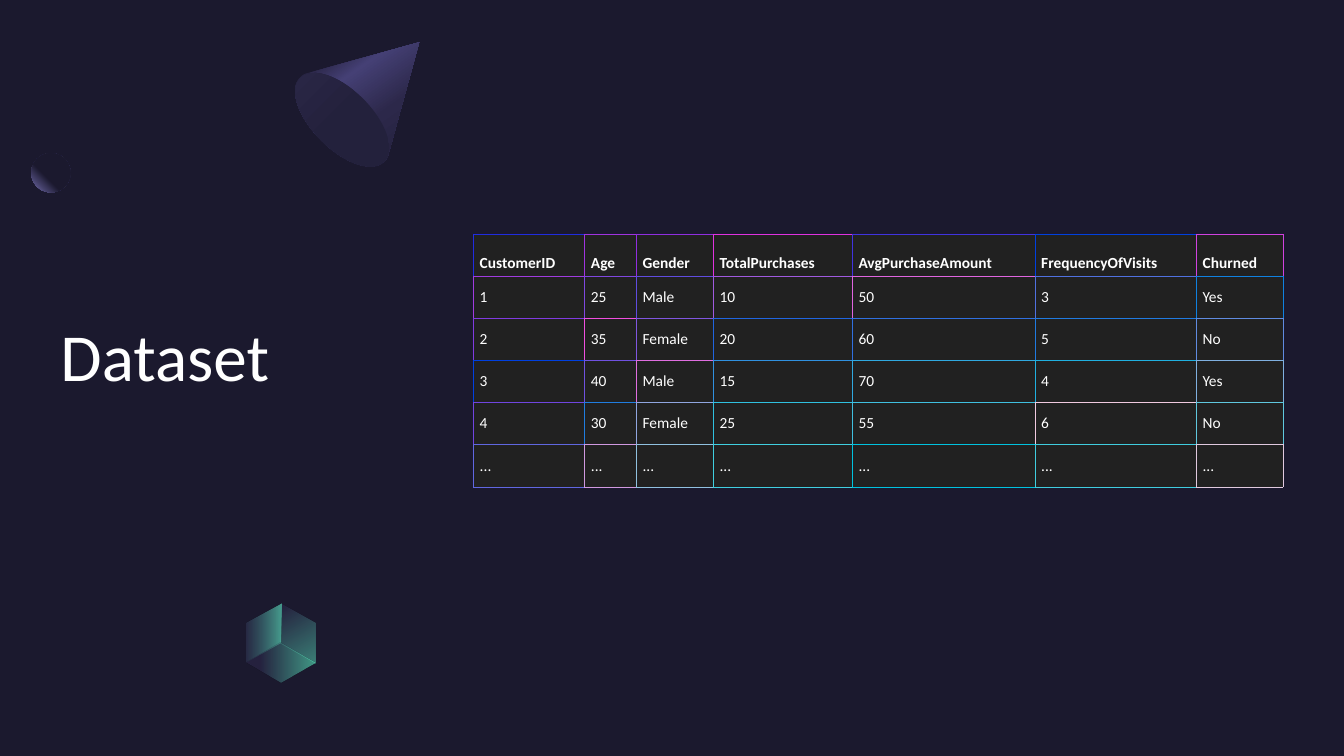
import math

import lxml.etree
import pptx
import pptx.dml.color
import pptx.enum.shapes
import pptx.enum.text
import pptx.oxml
import pptx.oxml.ns
import pptx.util

Pt = pptx.util.Pt
qn = pptx.oxml.ns.qn
Anchor = pptx.enum.text.MSO_ANCHOR
NAVY, INDIGO, MINT = "1B192E", "2C284A", "5BEFC1"

HEADER = ["CustomerID", "Age", "Gender", "TotalPurchases",
          "AvgPurchaseAmount", "FrequencyOfVisits", "Churned"]
CUSTOMERS = [
    ["1", "25", "Male", "10", "50", "3", "Yes"],
    ["2", "35", "Female", "20", "60", "5", "No"],
    ["3", "40", "Male", "15", "70", "4", "Yes"],
    ["4", "30", "Female", "25", "55", "6", "No"],
    ["..."] * 7,
]
COLUMN_WIDTHS = [79.4, 36.9, 55, 99.3, 130.5, 115.3, 62]
# One colour per cell, used on its left and top edges
EDGE_COLOURS = [row.split() for row in (
    "202CE0 A033E0 902EE0 E032E0 4033E0 0040E0 D042E0",
    "A03CE0 8047E0 604CE0 A05AE0 E065E0 5071E0 1081E0",
    "803BE0 F04FE0 8056E0 2065E0 3070E0 207AE0 608BE0",
    "0040E0 7051E0 E06EE0 3091E0 30A9E0 20B0E0 80B0E0",
    "7045E0 207DE0 90A6E0 30C1E0 40C0E0 F0CAE0 60C8DF",
    "6067E0 D099E0 90C1E0 40CFE0 00C2DF 40CDDF E0C9DF",
)]


def colour(hex_code):
    return pptx.dml.color.RGBColor.from_string(hex_code)


def add_xml(parent, tag, **attributes):
    return lxml.etree.SubElement(parent, qn(tag), **attributes)


def turn(points, degrees):
    cos, sin = math.cos(math.radians(degrees)), math.sin(math.radians(degrees))
    return [(x * cos - y * sin, x * sin + y * cos) for x, y in points]


def curve(start, control_1, control_2, end, steps=16):
    """Points along a cubic curve, without its start."""
    points = []
    for step in range(1, steps + 1):
        t = step / steps
        weights = ((1 - t) ** 3, 3 * t * (1 - t) ** 2, 3 * t * t * (1 - t), t ** 3)
        corners = (start, control_1, control_2, end)
        points.append(tuple(sum(w * corner[axis] for w, corner in zip(weights, corners))
                            for axis in (0, 1)))
    return points


class SlideBuilder:
    font = "Calibri"
    text_colour = "FFFFFF"
    cell_fill = "212121"

    def __init__(self, slide):
        self.slide = slide

    def background(self, hex_code):
        fill = self.slide.background.fill
        fill.solid()
        fill.fore_color.rgb = colour(hex_code)

    def add_span(self, para, text, size, bold=False):
        span = para.add_run()
        span.text = text
        span.font.name = self.font
        span.font.size = Pt(size)
        span.font.bold = bold
        span.font.color.rgb = colour(self.text_colour)

    def title(self, text, left, top, width, height, size):
        box = self.slide.shapes.title
        box.left, box.top, box.width, box.height = map(Pt, (left, top, width, height))
        frame = box.text_frame
        frame.margin_left = frame.margin_right = frame.margin_top = frame.margin_bottom = 0
        frame.vertical_anchor = Anchor.BOTTOM
        frame.word_wrap = True
        para = frame.paragraphs[0]
        para.alignment = pptx.enum.text.PP_ALIGN.LEFT
        self.add_span(para, text, size)

    def gradient(self, shape, stops, angle=None):
        """Stops are (percent, colour, opacity); no angle means radial from top right."""
        shape.shadow.inherit = False
        shape.line.fill.background()
        shape.fill.solid()
        solid = shape.element.spPr.find(qn("a:solidFill"))
        fill = pptx.oxml.parse_xml(
            f'<a:gradFill {pptx.oxml.ns.nsdecls("a")} rotWithShape="1"/>')
        stop_list = add_xml(fill, "a:gsLst")
        for percent, hex_code, opacity in stops:
            stop = add_xml(stop_list, "a:gs", pos=str(percent * 1000))
            tone = add_xml(stop, "a:srgbClr", val=hex_code)
            if opacity < 100:
                add_xml(tone, "a:alpha", val=str(opacity * 1000))
        if angle is None:
            radial = add_xml(fill, "a:path", path="circle")
            add_xml(radial, "a:fillToRect", l="100000", b="100000")
        else:
            add_xml(fill, "a:lin", ang=str(angle * 60000), scaled="0")
        solid.getparent().replace(solid, fill)

    def ellipse(self, left, top, width, height, stops, angle=None, rotation=0):
        shape = self.slide.shapes.add_shape(
            pptx.enum.shapes.MSO_SHAPE.OVAL, *map(Pt, (left, top, width, height)))
        shape.rotation = rotation
        self.gradient(shape, stops, angle)

    def outline(self, points, stops, angle, rotation):
        """Points are where they show; the shape is drawn upright, then rotated."""
        upright = turn(points, -rotation)
        middle = tuple((min(values) + max(values)) / 2 for values in zip(*upright))
        centre = turn([middle], rotation)[0]
        shift_x, shift_y = centre[0] - middle[0], centre[1] - middle[1]
        placed = [(Pt(x + shift_x), Pt(y + shift_y)) for x, y in upright]
        builder = self.slide.shapes.build_freeform(*placed[0], scale=1.0)
        builder.add_line_segments(placed[1:], close=True)
        shape = builder.convert_to_shape()
        shape.rotation = rotation
        self.gradient(shape, stops, angle)

    def border(self, cell, side, hex_code, width):
        line = add_xml(cell._tc.get_or_add_tcPr(), f"a:ln{side}", w=str(Pt(width)))
        add_xml(add_xml(line, "a:solidFill"), "a:srgbClr", val=hex_code)

    def table(self, rows, edges, left, top, widths, row_height, size):
        last_row, last_column = len(rows) - 1, len(widths) - 1
        table = self.slide.shapes.add_table(
            len(rows), len(widths), Pt(left), Pt(top),
            Pt(sum(widths)), Pt(row_height * len(rows))).table
        table.first_row = table.horz_banding = False
        for column, width in zip(table.columns, widths):
            column.width = Pt(width)
        for r, texts in enumerate(rows):
            table.rows[r].height = Pt(row_height)
            for c, text in enumerate(texts):
                cell = table.cell(r, c)
                cell.margin_left = cell.margin_right = Pt(4.5)
                cell.margin_top = cell.margin_bottom = Pt(2.25)
                cell.vertical_anchor = Anchor.MIDDLE if r else Anchor.BOTTOM
                # Right and bottom edges take the neighbour's colour
                self.border(cell, "L", edges[r][c], 0.6)
                self.border(cell, "R", edges[r][min(c + 1, last_column)], 0.6)
                self.border(cell, "T", edges[r][c], 1 if r else 0.6)
                self.border(cell, "B", edges[min(r + 1, last_row)][c],
                            1 if r < last_row else 0.6)
                cell.fill.solid()
                cell.fill.fore_color.rgb = colour(self.cell_fill)
                self.add_span(cell.text_frame.paragraphs[0], text, size, bold=r == 0)


def main():
    deck = pptx.Presentation()
    deck.slide_width, deck.slide_height = Pt(960), Pt(540)
    page = SlideBuilder(deck.slides.add_slide(deck.slide_layouts[5]))
    page.background(NAVY)

    # Sphere
    page.ellipse(22.3, 109.4, 28.1, 28.1, [(60, NAVY, 100), (100, "7771B2", 100)])

    # Cone: side, then base
    tip, right, left = (299.5, 30.2), (277.2, 111.2), (218.5, 52.6)
    low, middle, high = (274.3, 115.4), (229.5, 100.2), (214.4, 55.3)
    side = [tip, right]
    side += curve(right, (276.5, 113), (275.8, 114.3), low)
    side += curve(low, (266.4, 123.6), (246.2, 117.2), middle)
    side += curve(middle, (212.5, 83.4), (206, 63.3), high)
    side += curve(high, (215.4, 54.2), (216.8, 53.3), left)
    page.outline(side, [(30, INDIGO, 100), (40, "454075", 100),
                        (60, INDIGO, 100), (100, NAVY, 100)], 10, 45)
    page.ellipse(223.2, 43.2, 42.5, 85, [(50, "23213C", 100), (100, INDIGO, 100)], 90, 135)

    # Title
    page.title("Dataset", 43.2, 43.2, 280.8, 239, 48)

    # Cube: right, left and bottom faces
    top, centre, bottom = (200.9, 431.3), (200.4, 459.4), (200.9, 487.4)
    upper_left, lower_left = (176.4, 445), (176.4, 473.3)
    upper_right, lower_right = (225.4, 445), (225.4, 473.6)
    for corners, mint_opacity, angle in (
            ([upper_right, top, centre, lower_right], 60, 0),
            ([lower_left, upper_left, top, centre], 100, 300),
            ([lower_right, bottom, lower_left, centre], 60, 300)):
        page.outline(corners, [(20, INDIGO, 60), (100, MINT, mint_opacity)], angle, 60)

    # Customer table
    page.table([HEADER] + CUSTOMERS, EDGE_COLOURS, 338.2, 167.3, COLUMN_WIDTHS, 30.1, 11)

    deck.save("out.pptx")


if __name__ == "__main__":
    main()
